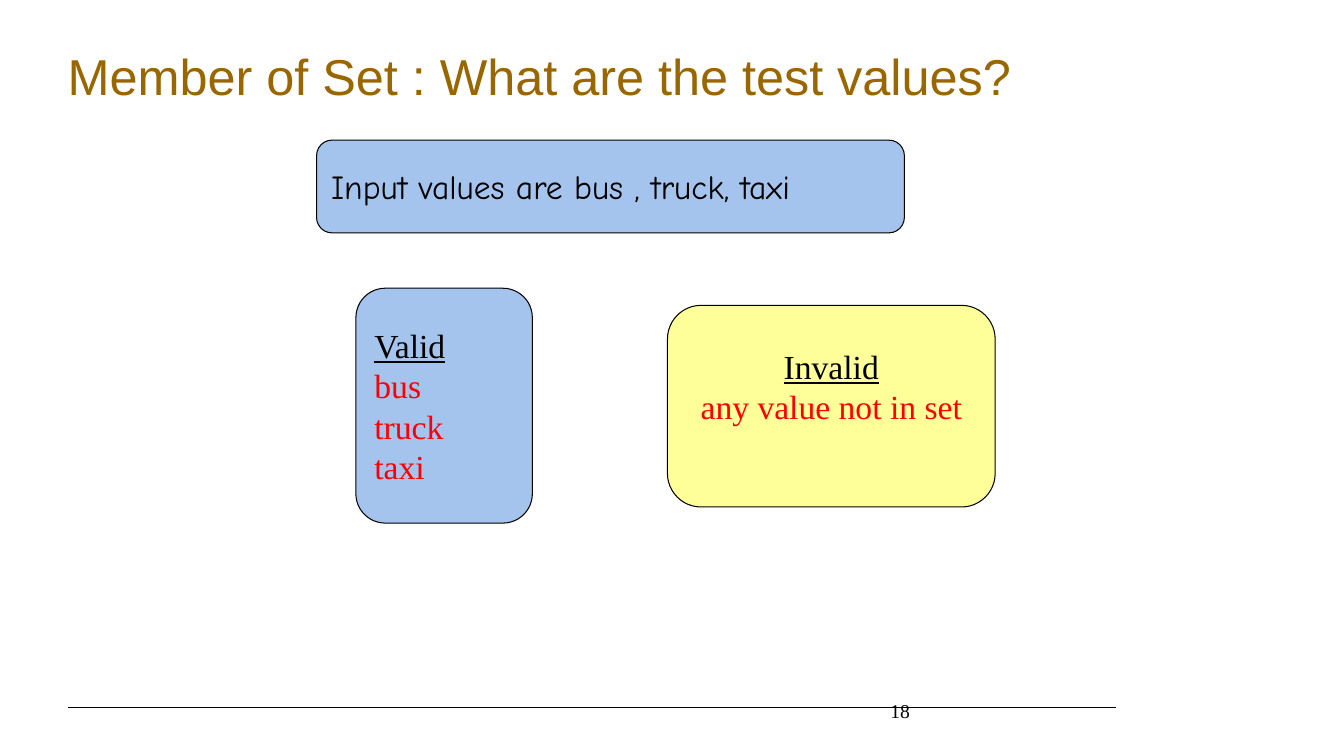
from lxml import etree
from pptx import Presentation
from pptx.dml.color import RGBColor
from pptx.enum import shapes, text
from pptx.oxml import ns
from pptx.util import Inches, Pt

COLORS = {"ink": "000000", "title": "996600", "answer": "FF0000",
          "blue": "A4C4EE", "yellow": "FFFF99"}
SERIF = "Times New Roman"
LABEL_INSETS = {"margin_left": 0, "margin_top": 0,
                "margin_right": Inches(0.1), "margin_bottom": Inches(0.05)}
MIDDLE = {"vertical_anchor": text.MSO_ANCHOR.MIDDLE}


def rgb(name):
    return RGBColor.from_string(COLORS[name])


def write(frame, lines, font, size, align=text.PP_ALIGN.LEFT, **frame_format):
    """Fill a frame with (wording, colour, underlined) lines."""
    for key, value in {"word_wrap": True, **frame_format}.items():
        setattr(frame, key, value)
    for index, (wording, color, underlined) in enumerate(lines):
        line = frame.paragraphs[0] if index == 0 else frame.add_paragraph()
        line.alignment = align
        run = line.add_run()
        run.text = wording
        for key, value in {"name": font, "size": Pt(size),
                           "underline": underlined}.items():
            setattr(run.font, key, value)
        run.font.color.rgb = rgb(color)


def add_label(slide, box, wording, font, size, color, **frame_format):
    label = slide.shapes.add_textbox(*map(Inches, box))
    write(label.text_frame, [(wording, color, False)], font, size,
          **LABEL_INSETS, **frame_format)


def add_card(slide, box, fill, lines, font=SERIF, **frame_format):
    card = slide.shapes.add_shape(
        shapes.MSO_SHAPE.ROUNDED_RECTANGLE, *map(Inches, box))
    card.shadow.inherit = False
    card.fill.solid()
    card.fill.fore_color.rgb = rgb(fill)
    card.line.color.rgb = rgb("ink")
    card.line.width = Pt(0.75)
    write(card.text_frame, lines, font, 24, **MIDDLE, **frame_format)


def add_rule(slide, left, right, height):
    rule = slide.shapes.add_connector(
        shapes.MSO_CONNECTOR.STRAIGHT,
        *map(Inches, (left, height, right, height)))
    rule.line.color.rgb = rgb("ink")
    rule.line.width = Pt(0.75)
    etree.SubElement(rule._element.spPr, ns.qn("a:effectLst"))


def test_values(heading, *values):
    return [(heading, "ink", True)] + [(v, "answer", False) for v in values]


def main():
    deck = Presentation()
    deck.slide_width, deck.slide_height = Inches(13.33), Inches(7.5)
    slide = deck.slides.add_slide(deck.slide_layouts[6])

    # Footer
    add_rule(slide, 0.67, 11.07, 7.02)
    add_label(slide, (8.83, 6.83, 2.08, 0.5), "18", SERIF, 14, "ink", **MIDDLE)

    # Title
    add_label(slide, (0.67, 0.45, 10.41, 0.93),
              "Member of Set : What are the test values?", "Arial", 36, "title")

    # Input condition
    add_card(slide, (3.14, 1.39, 5.83, 0.92), "blue",
             [("Input values are bus , truck, taxi", "ink", False)],
             font="Comic Neue")

    # Valid and invalid classes
    add_card(slide, (3.53, 2.86, 1.75, 2.33), "blue",
             test_values("Valid", "bus", "truck", "taxi"))
    add_card(slide, (6.62, 3.03, 3.25, 2), "yellow",
             test_values("Invalid", "any value not in set"),
             align=text.PP_ALIGN.CENTER, margin_bottom=Inches(0.45))

    deck.save("out.pptx")


if __name__ == "__main__":
    main()
